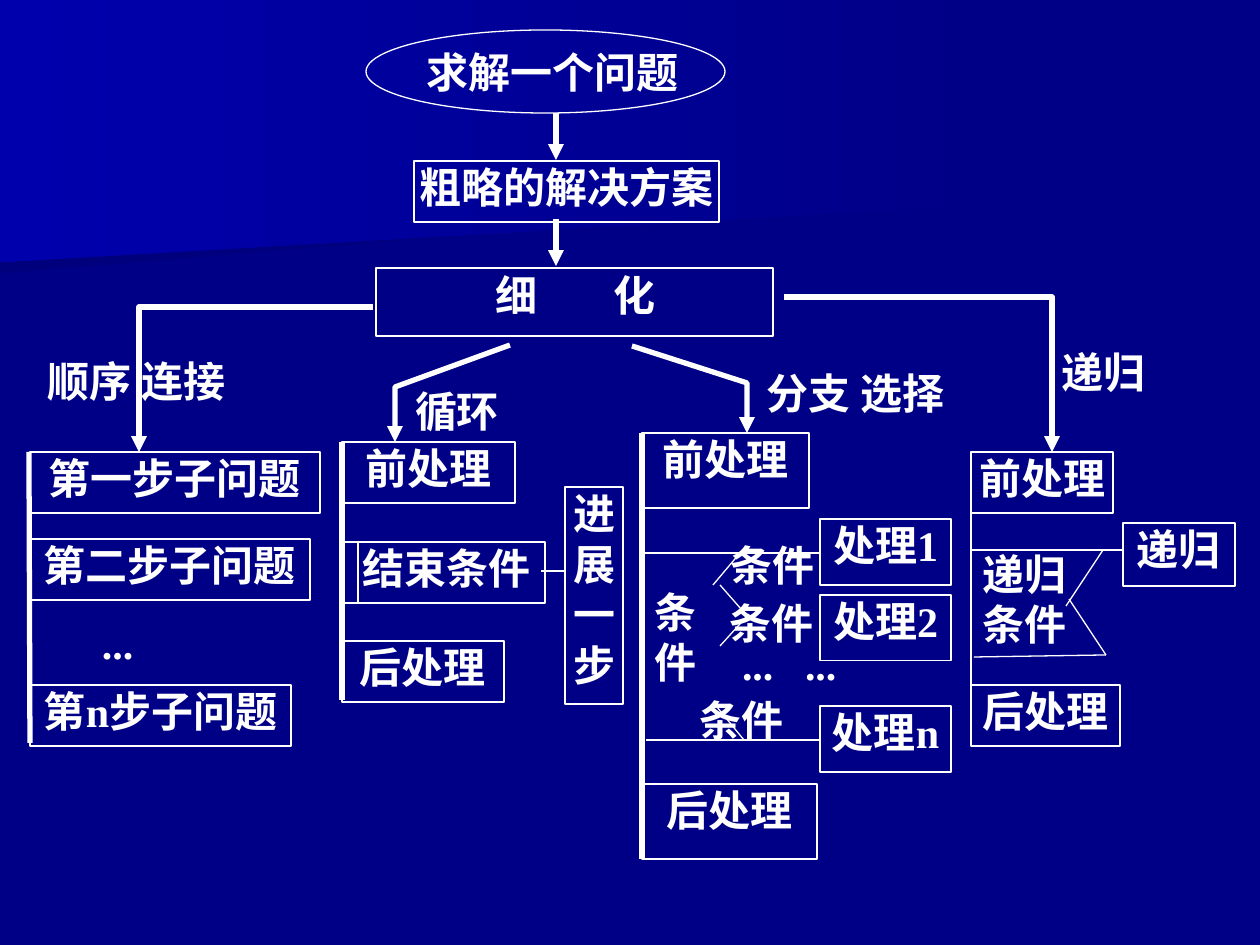
from dataclasses import dataclass

from lxml.etree import SubElement
from pptx import Presentation
from pptx.dml.color import RGBColor
from pptx.enum.shapes import MSO_CONNECTOR as Connector, MSO_SHAPE as Preset
from pptx.enum.text import MSO_ANCHOR as Anchor, PP_ALIGN as Align
from pptx.oxml.ns import qn
from pptx.util import Inches, Pt

PX = Inches(1) / 126
WHITE = RGBColor(0xFF, 0xFF, 0xFF)
NAVY = RGBColor(0x00, 0x00, 0x86)
DARK_NAVY = RGBColor(0x00, 0x00, 0x7D)
BLUE = RGBColor(0x00, 0x00, 0xAC)
FONT = "Times New Roman"
THIN, THICK = 0.75, 3
SPACE = 10  # width of one blank at 24 pt, in px


def emu(*lengths):
    return [round(length * PX) for length in lengths]


def style_line(shape, width, arrow=False):
    shape.line.color.rgb = WHITE
    shape.line.width = Pt(width)
    if arrow:
        SubElement(shape.line._get_or_add_ln(), qn("a:tailEnd"), type="triangle")


def set_text(shape, text, align, indent, tab):
    frame = shape.text_frame
    frame.word_wrap = True
    frame.vertical_anchor = Anchor.TOP
    frame.margin_left, frame.margin_right = emu(1 + indent, 1)
    frame.margin_top = frame.margin_bottom = emu(1)[0]
    frame.text = text
    for paragraph in frame.paragraphs:
        paragraph.alignment = align
        if tab:
            tabs = SubElement(paragraph._p.get_or_add_pPr(), qn("a:tabLst"))
            SubElement(tabs, qn("a:tab"), pos=str(emu(tab)[0]), algn="l")
        font = paragraph.font
        font.name, font.size, font.bold = FONT, Pt(24), True
        font.color.rgb = WHITE


@dataclass
class Region:
    """A part of the slide whose contents are placed from its top-left corner."""
    slide: object
    left: int
    top: int

    def place(self, x, y, *size):
        return emu(self.left + x, self.top + y, *size)

    def label(self, x, y, width, height, text, align=Align.LEFT, indent=0, tab=None):
        shape = self.slide.shapes.add_textbox(*self.place(x, y, width, height))
        set_text(shape, text, align, indent, tab)

    def box(self, x, y, width, height, text="", align=Align.CENTER, indent=0,
            tab=None, preset=Preset.RECTANGLE):
        shape = self.slide.shapes.add_shape(preset, *self.place(x, y, width, height))
        shape.shadow.inherit = False
        shape.fill.background()
        style_line(shape, THIN)
        if text:
            set_text(shape, text, align, indent, tab)

    def line(self, x1, y1, x2, y2, width=THIN, arrow=False):
        connector = self.slide.shapes.add_connector(
            Connector.STRAIGHT, *self.place(x1, y1), *self.place(x2, y2))
        style_line(connector, width, arrow)
        SubElement(connector._element.spPr, qn("a:effectLst"))

    def outline(self, points, close):
        start, *rest = [(self.left + x, self.top + y) for x, y in points]
        builder = self.slide.shapes.build_freeform(*start, scale=PX)
        builder.add_line_segments(rest, close=close)
        shape = builder.convert_to_shape()
        shape.shadow.inherit = False
        return shape

    def bent_arrow(self, *points):
        shape = self.outline(points, close=False)
        shape.fill.background()
        style_line(shape, THICK, arrow=True)

    def band(self, points, left_color):
        shape = self.outline(points, close=True)
        shape.line.fill.background()
        shape.fill.gradient()
        shape.fill.gradient_angle = 180
        for position, color in enumerate((NAVY, left_color)):
            stop = shape.fill.gradient_stops[position]
            stop.color.rgb = color
            stop.position = position


def draw_background(region):
    fill = region.slide.background.fill
    fill.solid()
    fill.fore_color.rgb = NAVY
    region.band([(980, 193), (0, 273), (0, 127), (982, 127), (980, 161)], DARK_NAVY)
    region.band([(998, 204), (0, 262), (0, 0), (998, 0)], BLUE)


def draw_steps(region):
    region.label(30, 15, 314, 54, "求解一个问题", Align.CENTER)
    region.box(0, 0, 359, 83, preset=Preset.OVAL)
    region.box(48, 131, 305, 61, "粗略的解决方案")
    region.box(10, 238, 397, 68, "细\t化", Align.LEFT, indent=118, tab=118)
    for y in (83, 189):
        region.line(190, y, 190, y + 47, THICK, arrow=True)


def draw_sequence(region):
    region.line(-1, 0, 0, 291, THICK)
    for y, width, text in ((0, 290, "第一步子问题"), (87, 280, "第二步子问题"),
                           (233, 261, "第n步子问题")):
        region.box(0, y, width, 61, text)
    region.label(71, 165, 101, 39, "...")
    region.bent_arrow((343, -145), (109, -145), (109, 0))
    region.label(0, -97, 213, 49, "顺序 连接", Align.CENTER)


def draw_loop(region):
    region.line(0, 0, 0, 258, THICK)
    region.box(0, 0, 173, 61, "前处理")
    region.box(0, 100, 203, 61, "结束条件", Align.LEFT, indent=2 * SPACE)
    region.box(0, 199, 162, 61, "后处理")
    region.line(16, 99, 16, 160)
    # Progress made on each pass
    region.box(223, 45, 58, 217, "进展\n一\n步")
    region.line(199, 129, 223, 129)
    region.bent_arrow((168, -97), (53, -55), (53, 0))
    region.label(72, -58, 108, 58, "循环")


def draw_branch(region):
    region.line(0, 0, 0, 426, THICK)
    region.box(0, 0, 167, 75, "前处理")
    region.box(0, 351, 175, 75, "后处理")
    # Selector lines and their slanted edges
    for ends in ((0, 120, 178, 120), (98, 120, 71, 152), (4, 307, 178, 307),
                 (102, 307, 75, 274), (78, 152, 107, 185), (78, 213, 107, 181),
                 (0, 120, 0, 307)):
        region.line(*ends)
    region.label(12, 152, 52, 122, "条件")
    for y, mark in ((86, "1"), (162, "2"), (273, "n")):
        region.box(178, y, 131, 66, f"处理{mark}")
    region.label(99, 205, 243, 89, "...\t...", tab=63)
    for x, y in ((88, 106), (87, 164), (57, 261)):
        region.label(x, y, 140, 52, "条件")
    region.bent_arrow((-10, -87), (105, -50), (105, 0))
    region.label(104, -67, 266, 45, "分支 选择", indent=2 * SPACE)


def draw_recursion(region):
    region.line(0, 20, 0, 264, 1)
    region.box(0, 0, 142, 61, "前处理")
    region.box(0, 233, 149, 61, "后处理")
    # Condition frame
    for ends in ((0, 98, 152, 98), (132, 98, 95, 154), (3, 205, 135, 203),
                 (0, 98, 0, 251), (135, 203, 98, 147)):
        region.line(*ends)
    region.label(11, 95, 88, 108, "递归\n条件")
    region.box(152, 71, 112, 63, "递归")
    region.bent_arrow((-187, -155), (81, -155), (81, 0))
    region.label(80, -107, 102, 58, "递归", indent=SPACE)


def main():
    presentation = Presentation()
    presentation.slide_width, presentation.slide_height = emu(1260, 945)
    slide = presentation.slides.add_slide(presentation.slide_layouts[6])
    for draw, left, top in ((draw_background, 0, 0), (draw_steps, 366, 30),
                            (draw_sequence, 30, 452), (draw_loop, 342, 442),
                            (draw_branch, 642, 433), (draw_recursion, 971, 452)):
        draw(Region(slide, left, top))
    presentation.save("out.pptx")


if __name__ == "__main__":
    main()
